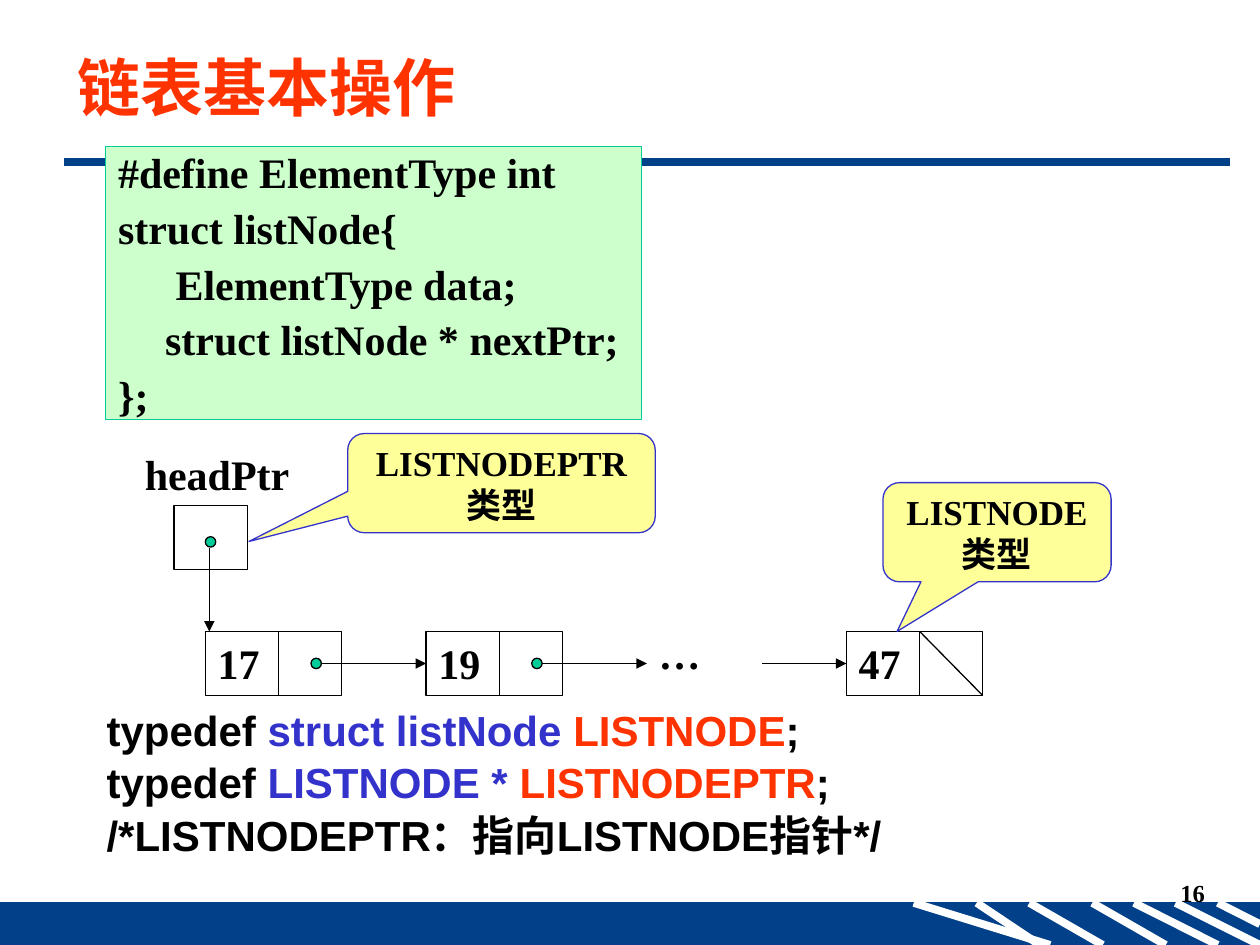
from lxml.etree import SubElement
from pptx import Presentation
from pptx.dml.color import RGBColor
from pptx.enum.shapes import MSO_CONNECTOR, MSO_SHAPE as Preset
from pptx.enum.text import MSO_ANCHOR as Anchor, PP_ALIGN as Align
from pptx.oxml.ns import qn
from pptx.util import Cm, Pt

# Content
BLACK, WHITE, NAVY = "000000", "FFFFFF", "024089"
RED, BLUE, GREEN = "FF3300", "3333CC", "00CC99"
SERIF, SANS, CJK = "Times New Roman", "Arial", "Noto Sans CJK SC"

heading = "链表基本操作"
page_number = "16"
struct_code = [
    "#define ElementType int",
    "struct listNode{",
    "\t ElementType data;",
    "\tstruct listNode * nextPtr;",
    "};",
]
typedef_lines = [
    [("typedef ", BLACK), ("struct listNode ", BLUE), ("LISTNODE", RED), (";", BLACK)],
    [("typedef ", BLACK), ("LISTNODE * ", BLUE), ("LISTNODEPTR", RED), (";", BLACK)],
    [("/*LISTNODEPTR：指向LISTNODE指针*/", BLACK)],
]
nodes = [("17", 4.14), ("19", 8.59), ("47", 17.06)]  # value, left in cm
callouts = [  # text, box in cm, pointer offsets
    ("LISTNODE类型", (17.8, 9.73, 4.6, 2), (-0.438, 1)),
    ("LISTNODEPTR类型", (7.01, 8.74, 6.2, 2), (-0.821, 0.588)),
]
stripes = [  # start and end x of each footer stripe in cm
    (18.42, 21.17), (19.69, 20.96), (20.75, 22.23),
    (22.02, 23.5), (22.86, 24.55), (23.7, 25.4),
]

prs = Presentation()
prs.slide_width, prs.slide_height = Cm(25.4), Cm(19.05)
slide = prs.slides.add_slide(prs.slide_layouts[5])
shapes = slide.shapes


def color(value):
    return RGBColor.from_string(value)


def add_line(x1, y1, x2, y2, stroke=BLACK, width=0.75, arrow=False):
    line = shapes.add_connector(MSO_CONNECTOR.STRAIGHT, Cm(x1), Cm(y1), Cm(x2), Cm(y2))
    line.line.color.rgb = color(stroke)
    line.line.width = Pt(width)
    if arrow:
        SubElement(line.line._get_or_add_ln(), qn("a:tailEnd"), type="triangle")
    SubElement(line._element.spPr, qn("a:effectLst"))


def add_box(preset, box, fill=None, stroke=BLACK):
    shape = shapes.add_shape(preset, *map(Cm, box))
    shape.shadow.inherit = False
    if fill:
        shape.fill.solid()
        shape.fill.fore_color.rgb = color(fill)
    else:
        shape.fill.background()
    shape.line.color.rgb = color(stroke)
    shape.line.width = Pt(0.75)
    return shape


def write(shape, lines, size=24, font=SERIF, align=Align.LEFT, anchor=Anchor.TOP,
          before=0, first_before=None, spacing=None, hanging=False):
    frame = shape.text_frame
    frame.word_wrap = True
    frame.vertical_anchor = anchor
    for index, runs in enumerate(lines):
        paragraph = frame.paragraphs[0] if index == 0 else frame.add_paragraph()
        paragraph.alignment = align
        first = index == 0 and first_before is not None
        paragraph.space_before = Pt(first_before if first else before)
        if spacing:
            paragraph.line_spacing = spacing
        if hanging:
            properties = paragraph._p.get_or_add_pPr()
            properties.set("marL", str(Cm(0.95)))
            properties.set("indent", str(-Cm(0.95)))
        for text, ink in runs:
            run = paragraph.add_run()
            run.text = text
            run.font.size, run.font.bold, run.font.name = Pt(size), True, font
            run.font.color.rgb = color(ink)
            SubElement(run._r.get_or_add_rPr(), qn("a:ea"), typeface=CJK)


def add_text(box, lines, **style):
    write(shapes.add_textbox(*map(Cm, box)), lines, **style)


# Footer band and heading rule
FOOTER_TOP, BOTTOM = 18.2, 19.05
add_box(Preset.RECTANGLE, (0, FOOTER_TOP, 25.4, BOTTOM - FOOTER_TOP), NAVY, NAVY)
for start, end in stripes:
    add_line(start, FOOTER_TOP, end, BOTTOM, WHITE, 4.5)
add_line(24.55, FOOTER_TOP, 25.4, 18.63, WHITE, 4.5)
add_line(1.3, 3.27, 24.8, 3.27, NAVY, 4.5)
add_text((19.25, 17.58, 5.29, 1.27), [[(page_number, BLACK)]], size=14,
         align=Align.RIGHT, before=1)

# Heading
title = shapes.title
title.left, title.top, title.width, title.height = map(Cm, (1.3, 0.74, 23.6, 2))
write(title, [[(heading, RED)]], size=36, font=CJK, anchor=Anchor.MIDDLE)

# Type definitions
add_text((1.9, 14.07, 23.4, 3.6), typedef_lines, font=SANS, before=1.3, hanging=True)

# List nodes, each split into data and pointer cells
NODE_TOP, NODE_W, NODE_H, DATA_W = 12.73, 2.75, 1.29, 1.48
MIDDLE = NODE_TOP + NODE_H / 2
DOT = 0.21
for value, left in nodes:
    node = add_box(Preset.RECTANGLE, (left, NODE_TOP, NODE_W, NODE_H))
    write(node, [[(value, BLACK)]], before=2)
    add_line(left + DATA_W, NODE_TOP, left + DATA_W, NODE_TOP + NODE_H)

# Links between nodes, and the null pointer of the last one
for _, left in nodes[:-1]:
    dot_left = left + 2.13
    add_line(dot_left + DOT, MIDDLE, left + 4.45, MIDDLE, arrow=True)
    add_box(Preset.OVAL, (dot_left, MIDDLE - DOT / 2, DOT, DOT), GREEN)
add_text((13.03, 12.52, 1.9, 1.27), [[("…", BLACK)]], before=2)
last_left = nodes[-1][1]
add_line(15.37, MIDDLE, last_left, MIDDLE, arrow=True)
add_line(last_left + DATA_W, NODE_TOP, last_left + NODE_W, NODE_TOP + NODE_H)

# Head pointer
add_box(Preset.RECTANGLE, (3.51, 10.19, DATA_W, NODE_H))
add_text((2.67, 8.92, 3.56, 1.27), [[("headPtr", BLACK)]], before=2)
add_box(Preset.OVAL, (4.14, 10.82, DOT, DOT), GREEN)
add_line(4.22, 11.05, 4.22, NODE_TOP, arrow=True)

# Type callouts
for label, box, pointer in callouts:
    callout = add_box(Preset.ROUNDED_RECTANGULAR_CALLOUT, box, "FFFF99", BLUE)
    for index, offset in enumerate((*pointer, 0.167)):
        callout.adjustments[index] = offset
    write(callout, [[(label, BLACK)]], size=20, align=Align.CENTER, anchor=Anchor.MIDDLE)

# Struct definition
code_box = add_box(Preset.RECTANGLE, (2.13, 2.95, 10.8, 5.51), "CCFFCC", GREEN)
write(code_box, [[(line, BLACK)] for line in struct_code], before=5.9,
      first_before=2.7, spacing=0.9, hanging=True)

prs.save("out.pptx")
